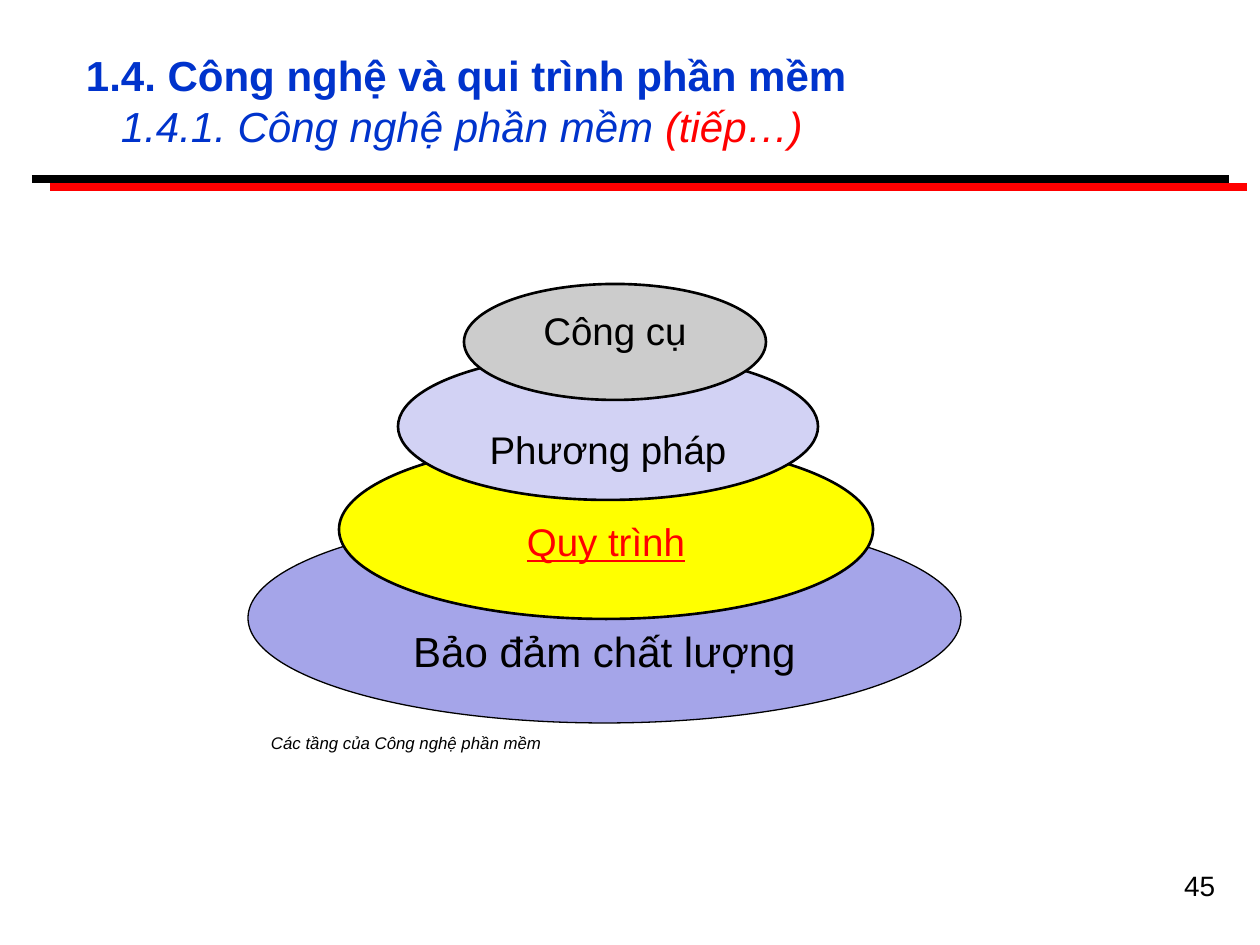
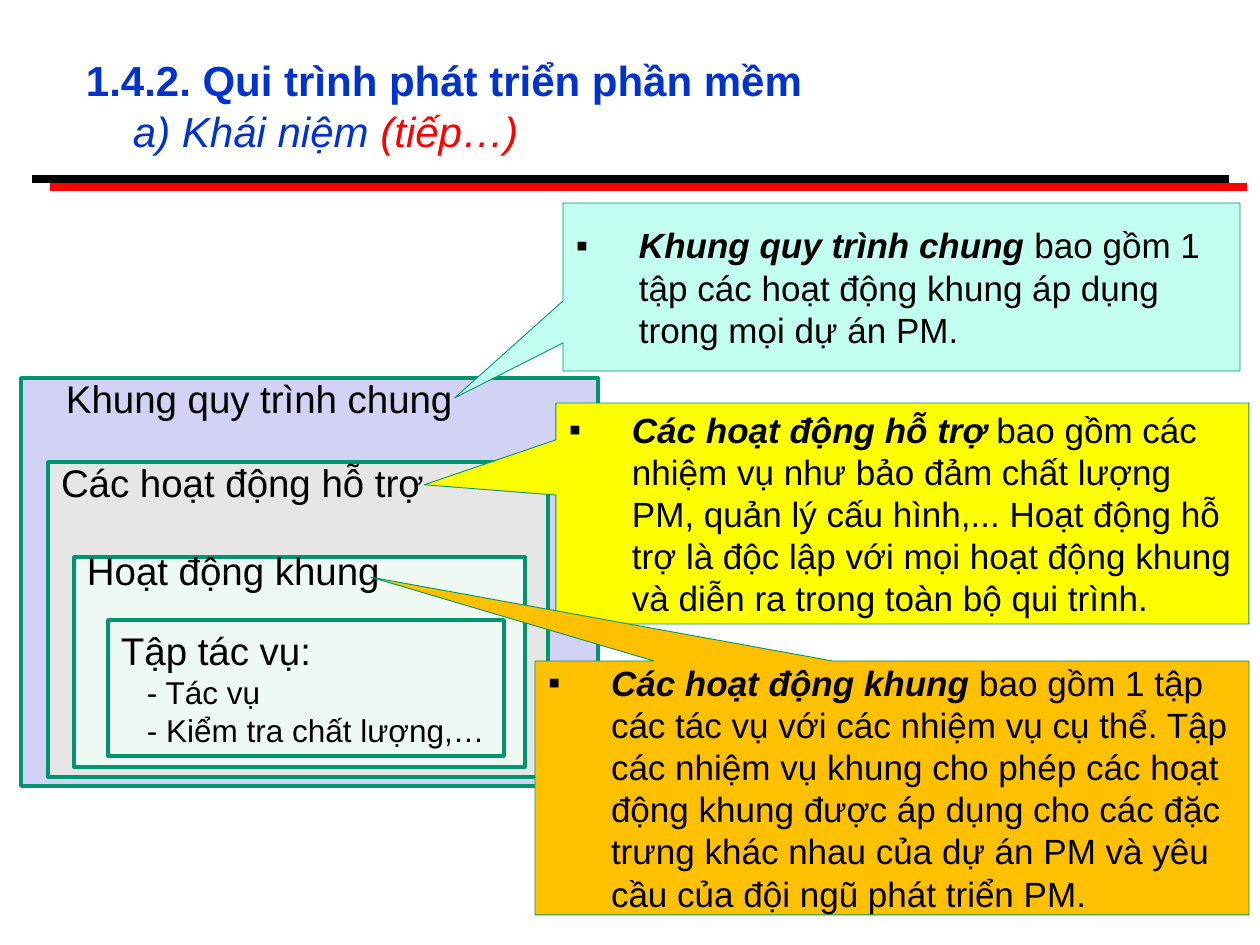
"""Build two slides on software engineering layers and the software process."""
from lxml import etree
from pptx import Presentation
from pptx import util as u
from pptx.dml.color import RGBColor
from pptx.enum import shapes, text
from pptx.oxml import ns

SCALE = 914400 / 126
FONT = "Arial"
BLACK, RED, BLUE, GREEN, WHITE = "000000", "FF0000", "0033CC", "00956F", "FFFFFF"
TOP, MIDDLE = text.MSO_ANCHOR.TOP, text.MSO_ANCHOR.MIDDLE
LEFT, CENTER, RIGHT = text.PP_ALIGN.LEFT, text.PP_ALIGN.CENTER, text.PP_ALIGN.RIGHT

RULES = [((32, 179), BLACK), ((50, 187), RED)]
RULE_WIDTH = 1197
CONTINUED = "(tiếp…)"

LAYERS_TITLE = ("1.4. Công nghệ và qui trình phần mềm", "1.4.1. Công nghệ phần mềm ")
LAYERS = [
    ("Bảo đảm chất lượng", (248, 513, 713, 210), "A5A5E9", 0.75, 82, dict(size=24)),
    ("Quy trình", (339, 440, 534, 179), "FFFF00", 1.5, 52, dict(color=RED, underline=True)),
    ("Phương pháp", (398, 353, 420, 147), "D2D2F4", 1.5, 52, {}),
    ("Công cụ", (464, 284, 302, 116), "CCCCCC", 1.5, 6, {}),
]
CAPTION = ("Các tầng của Công nghệ phần mềm", (258, 731, 723, 34))
PAGE = ("45", (1134, 863, 94, 66))

PROCESS_TITLE = ("1.4.2. Qui trình phát triển phần mềm", "a) Khái niệm ")
FRAMES = [
    ("Khung quy trình chung", (21, 378, 577, 408), "D2D2F4", 45, 20),
    ("Các hoạt động hỗ trợ", (48, 462, 500, 315), "E6E6E6", 13, 20),
    ("Hoạt động khung", (74, 557, 451, 210), "EEF9F4", 13, 13),
]
TASK_BOX = (108, 620, 396, 136)
TASK_FILL = "EEF9F4"
TASK_HEAD = "Tập tác vụ:"
TASKS = ["- Tác vụ", "- Kiểm tra chất lượng,…"]
CALLOUTS = [
    ("Khung quy trình chung ",
     "bao gồm 1 tập các hoạt động khung áp dụng trong mọi dự án PM.",
     (563, 203, 677, 168), (-0.66, 0.66), "C2FFF0"),
    ("Các hoạt động hỗ trợ ",
     "bao gồm các nhiệm vụ như bảo đảm chất lượng PM, quản lý cấu hình,... "
     "Hoạt động hỗ trợ là độc lập với mọi hoạt động khung và diễn ra trong toàn bộ qui trình.",
     (556, 403, 693, 221), (-0.69, -0.13), "FFFF00"),
    ("Các hoạt động khung ",
     "bao gồm 1 tập các tác vụ với các nhiệm vụ cụ thể. Tập các nhiệm vụ khung cho phép "
     "các hoạt động khung được áp dụng cho các đặc trưng khác nhau của dự án PM và yêu cầu "
     "của đội ngũ phát triển PM.",
     (535, 661, 714, 254), (-0.73, -0.83), "FFC000"),
]


def px(n):
    return u.Emu(round(n * SCALE))


def rgb(value):
    return RGBColor.from_string(value)


def add_run(p, words, size=22, color=BLACK, bold=False, italic=False, underline=False):
    r = p.add_run()
    r.text = words
    f = r.font
    f.name, f.size, f.bold, f.italic, f.underline = FONT, u.Pt(size), bold, italic, underline
    f.color.rgb = rgb(color)


def frame(sp, anchor=TOP, left=13, top=6, right=13, bottom=6):
    tf = sp.text_frame
    tf.word_wrap = True
    tf.vertical_anchor = anchor
    tf.margin_left, tf.margin_top = px(left), px(top)
    tf.margin_right, tf.margin_bottom = px(right), px(bottom)
    return tf


def add_para(tf, align=LEFT, first=False, indent=0):
    p = tf.paragraphs[0] if first else tf.add_paragraph()
    p.alignment = align
    if indent:
        p._p.get_or_add_pPr().set("marL", str(px(indent)))
    return p


def add_box(s, kind, box, fill, line=None, width=0):
    sp = s.shapes.add_shape(kind, *map(px, box))
    sp.shadow.inherit = False
    sp.fill.solid()
    sp.fill.fore_color.rgb = rgb(fill)
    if line:
        sp.line.color.rgb = rgb(line)
        sp.line.width = u.Pt(width)
    else:
        sp.line.fill.background()
    return sp


def add_bullet(p, char):
    pPr = p._p.get_or_add_pPr()
    pPr.set("marL", str(px(63)))
    pPr.set("indent", str(px(-63)))
    color = etree.SubElement(pPr, ns.qn("a:buClr"))
    etree.SubElement(color, ns.qn("a:srgbClr")).set("val", BLACK)
    etree.SubElement(pPr, ns.qn("a:buFont")).set("typeface", FONT)
    etree.SubElement(pPr, ns.qn("a:buChar")).set("char", char)


def new_slide(prs, title, box, indent):
    s = prs.slides.add_slide(prs.slide_layouts[6])
    for (x, y), color in RULES:
        ends = map(px, (x, y, x + RULE_WIDTH, y))
        rule = s.shapes.add_connector(shapes.MSO_CONNECTOR.STRAIGHT, *ends)
        rule.line.color.rgb = rgb(color)
        rule.line.width = u.Pt(4.5)
        etree.SubElement(rule._element.spPr, ns.qn("a:effectLst"))
    tf = frame(s.shapes.add_textbox(*map(px, box)), MIDDLE)
    heading, sub = title
    add_run(add_para(tf, first=True), heading, 24, BLUE, bold=True)
    p = add_para(tf, indent=indent)
    add_run(p, sub, 24, BLUE, italic=True)
    add_run(p, CONTINUED, 24, RED, italic=True)
    return s


def layers_slide(prs):
    s = new_slide(prs, LAYERS_TITLE, (73, 53, 1144, 94), 35)
    for label, box, fill, width, top, style in LAYERS:
        sp = add_box(s, shapes.MSO_SHAPE.OVAL, box, fill, BLACK, width)
        tf = frame(sp, top=top, bottom=0)
        add_run(add_para(tf, CENTER, first=True), label, **style)
    words, box = CAPTION
    p = add_para(frame(add_box(s, shapes.MSO_SHAPE.RECTANGLE, box, WHITE)), first=True)
    p.line_spacing = 0.8
    add_run(p, words, 9.6, italic=True)
    number, box = PAGE
    tf = frame(s.shapes.add_textbox(*map(px, box)))
    add_run(add_para(tf, RIGHT, first=True), number, 16)


def process_slide(prs):
    s = new_slide(prs, PROCESS_TITLE, (73, 63, 1144, 84), 47)
    for label, box, fill, left, middle in FRAMES:
        sp = add_box(s, shapes.MSO_SHAPE.RECTANGLE, box, fill, GREEN, 2)
        tf = frame(sp, MIDDLE, left=left, top=0, bottom=box[3] - 2 * middle)
        add_run(add_para(tf, first=True), label)
    sp = add_box(s, shapes.MSO_SHAPE.RECTANGLE, TASK_BOX, TASK_FILL, GREEN, 2)
    tf = frame(sp, MIDDLE)
    add_run(add_para(tf, first=True), TASK_HEAD)
    for task in TASKS:
        add_run(add_para(tf, indent=26), task, 18)
    for term, meaning, box, tip, fill in CALLOUTS:
        sp = add_box(s, shapes.MSO_SHAPE.RECTANGULAR_CALLOUT, box, fill, GREEN, 0.5)
        sp.adjustments[0], sp.adjustments[1] = tip
        p = add_para(frame(sp, MIDDLE), first=True)
        add_bullet(p, "▪")
        add_run(p, term, 20, bold=True, italic=True)
        add_run(p, meaning, 20)


def main():
    prs = Presentation()
    prs.slide_width, prs.slide_height = px(1260), px(945)
    layers_slide(prs)
    process_slide(prs)
    prs.save("out.pptx")


if __name__ == "__main__":
    main()
